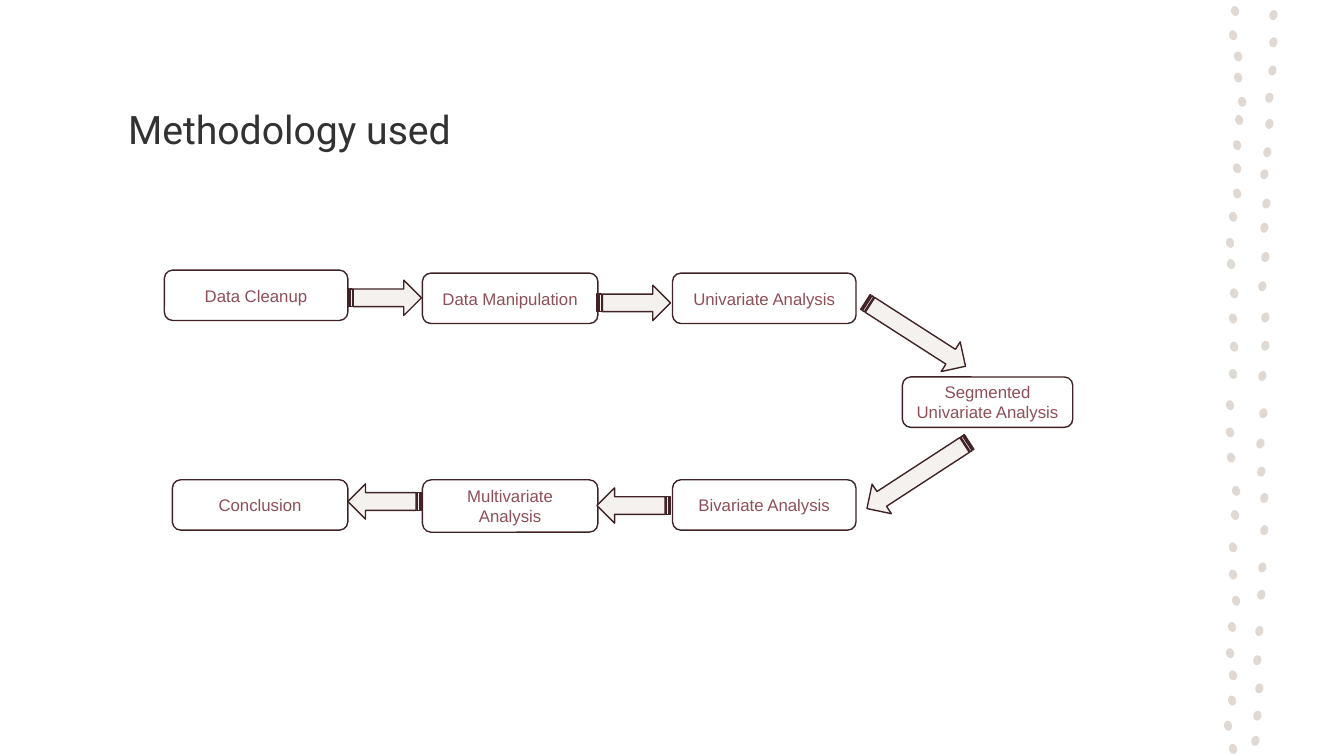
from pptx import Presentation
from pptx.dml.color import RGBColor
from pptx.enum.shapes import MSO_SHAPE
from pptx.enum.text import MSO_ANCHOR, PP_ALIGN
from pptx.util import Inches, Pt

COLOURS = {
    "page": "FFFFFF", "title": "323232", "step": "FFFFFF", "arrow": "F4F1EF",
    "outline": "3F2327", "label": "8F4F58", "dot": "E0D8D2",
}
DOT_COLUMNS = [
    [(0.14, 0.09), (0.12, 0.33), (0.17, 0.54), (0.17, 0.75), (0.21, 0.99),
     (0.18, 1.17), (0.16, 1.42), (0.16, 1.65), (0.16, 1.9), (0.12, 2.13),
     (0.09, 2.39), (0.1, 2.6), (0.13, 2.89), (0.12, 3.14), (0.13, 3.42),
     (0.12, 3.69), (0.09, 4), (0.09, 4.27), (0.1, 4.52), (0.15, 4.85),
     (0.14, 5.09), (0.12, 5.41), (0.12, 5.68), (0.15, 5.94), (0.11, 6.2),
     (0.09, 6.46), (0.12, 6.68), (0.11, 6.93), (0.07, 7.18), (0.12, 7.41)],
    [(0.52, 0.13), (0.52, 0.4), (0.51, 0.68), (0.48, 0.95), (0.48, 1.21),
     (0.46, 1.49), (0.43, 1.71), (0.45, 2), (0.43, 2.24), (0.44, 2.53),
     (0.41, 2.82), (0.44, 3.13), (0.44, 3.41), (0.41, 3.71), (0.42, 4.08),
     (0.39, 4.38), (0.4, 4.66), (0.43, 4.92), (0.43, 5.24), (0.41, 5.61),
     (0.4, 5.88), (0.38, 6.24), (0.36, 6.53), (0.38, 6.81), (0.36, 7.08),
     (0.34, 7.33)],
]
STEPS = [
    ("Data Cleanup", 0, 0, 1.82, 0.5),
    ("Data Manipulation", 2.56, 0.03, 1.74, 0.5),
    ("Univariate Analysis", 5.04, 0.03, 1.82, 0.5),
    ("Segmented Univariate Analysis", 7.32, 1.06, 1.69, 0.5),
    ("Bivariate Analysis", 5.04, 2.08, 1.82, 0.5),
    ("Multivariate Analysis", 2.56, 2.08, 1.74, 0.52),
    ("Conclusion", 0.08, 2.08, 1.74, 0.5),
]
ARROWS = [
    (1.82, 0.1, 0.73, 0), (4.29, 0.15, 0.73, 0),
    (4.29, 2.16, 0.73, 180), (1.82, 2.12, 0.73, 180),
    (6.86, 0.46, 1.18, 32.7), (6.87, 1.86, 1.21, 146.9),
]


def colour(name):
    return RGBColor.from_string(COLOURS[name])


def add_span(para, text, font, size, tint):
    span = para.add_run()
    span.text = text
    span.font.name = font
    span.font.size = Pt(size)
    span.font.color.rgb = colour(tint)


def add_figure(page, kind, box, fill, outline=None):
    figure = page.shapes.add_shape(kind, *[Inches(length) for length in box])
    figure.shadow.inherit = False
    figure.fill.solid()
    figure.fill.fore_color.rgb = colour(fill)
    if outline:
        figure.line.color.rgb = colour(outline)
        figure.line.width = Pt(1)
    else:
        figure.line.fill.background()
    return figure


def draw_dots(page, box):
    left, top, dot_width, dot_height = box
    for column in DOT_COLUMNS:
        for x, y in column:
            dot_box = (left + x - dot_width / 2, top + y - dot_height / 2,
                       dot_width, dot_height)
            dot = add_figure(page, MSO_SHAPE.OVAL, dot_box, "dot")
            dot.rotation = -15 if column is DOT_COLUMNS[0] else 15


def draw_title(page, box):
    title = page.shapes.title
    title.left, title.top, title.width, title.height = [Inches(length) for length in box]
    frame = title.text_frame
    frame.vertical_anchor = MSO_ANCHOR.MIDDLE
    para = frame.paragraphs[0]
    para.alignment = PP_ALIGN.LEFT
    add_span(para, "Methodology used", "Roboto", 28, "title")


def draw_flow(page, box):
    left, top = box
    for label, x, y, width, height in STEPS:
        step = add_figure(page, MSO_SHAPE.ROUNDED_RECTANGLE,
                          (left + x, top + y, width, height), "step", "outline")
        frame = step.text_frame
        frame.word_wrap = True
        frame.vertical_anchor = MSO_ANCHOR.MIDDLE
        para = frame.paragraphs[0]
        para.alignment = PP_ALIGN.CENTER
        add_span(para, label, "Arial", 12, "label")
    for x, y, length, angle in ARROWS:
        arrow = add_figure(page, MSO_SHAPE.STRIPED_RIGHT_ARROW,
                           (left + x, top + y, length, 0.35), "arrow", "outline")
        arrow.rotation = angle


deck = Presentation()
deck.slide_width = Inches(13.33)
deck.slide_height = Inches(7.5)
page = deck.slides.add_slide(deck.slide_layouts[5])
page.background.fill.solid()
page.background.fill.fore_color.rgb = colour("page")
draw_dots(page, (12.11, 0.02, 0.08, 0.1))
draw_title(page, (1.17, 0.55, 10.54, 1.45))
draw_flow(page, (1.63, 2.68))
deck.save("out.pptx")
